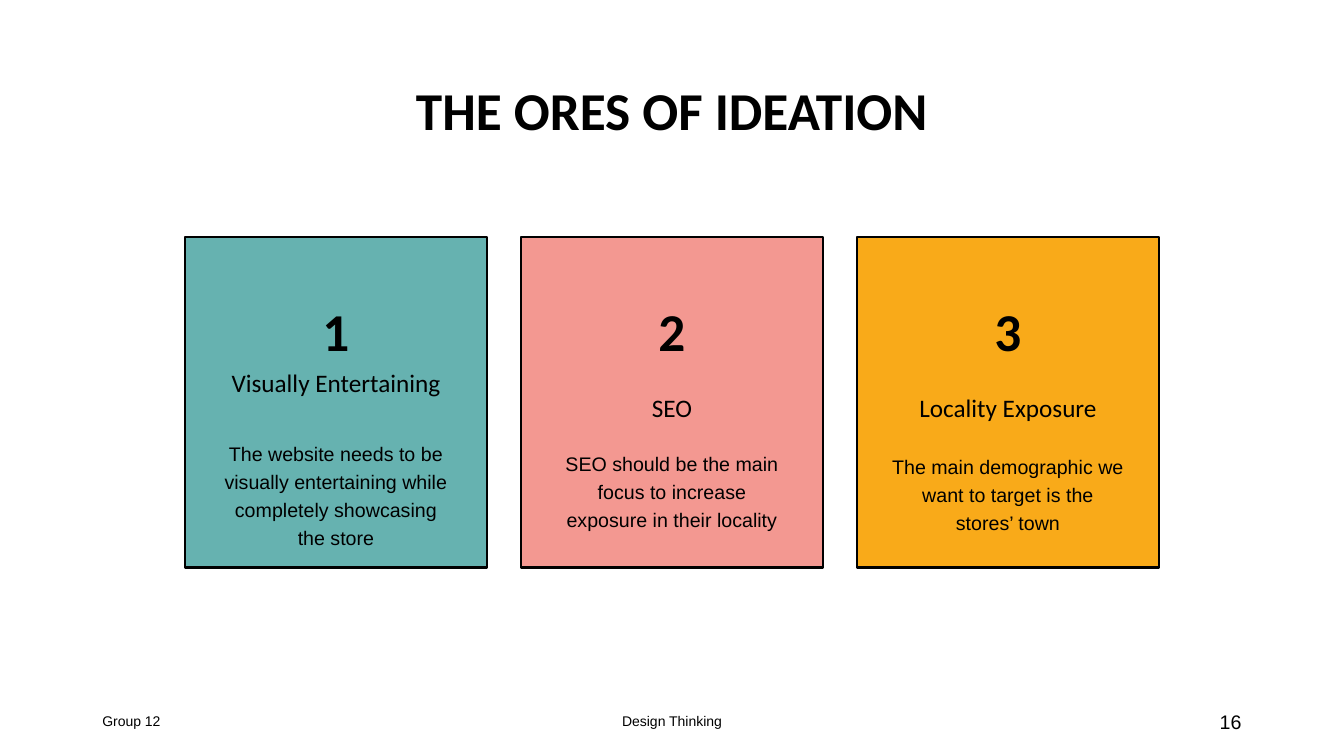
from pptx import Presentation
from pptx.dml.color import RGBColor
from pptx.enum import shapes, text
from pptx.util import Pt

COLORS = {"ink": "000000", "teal": "66B2B0", "pink": "F39891", "amber": "F9AA19"}
ALIGN = text.PP_ALIGN
ANCHOR = text.MSO_ANCHOR


def write(sp, words, size, font="Arial", bold=False, align=ALIGN.CENTER,
          anchor=ANCHOR.TOP, spacing=None):
    """Fill a shape with one paragraph of formatted text."""
    tf = sp.text_frame
    tf.word_wrap = True
    tf.auto_size = text.MSO_AUTO_SIZE.NONE
    tf.vertical_anchor = anchor
    p = tf.paragraphs[0]
    p.alignment = align
    p.line_spacing = spacing
    r = p.add_run()
    r.text = words
    r.font.size = Pt(size)
    r.font.name = font
    r.font.bold = bold
    r.font.color.rgb = RGBColor.from_string(COLORS["ink"])


def add_text(s, left, top, width, height, words, size, **style):
    box = s.shapes.add_textbox(Pt(left), Pt(top), Pt(width), Pt(height))
    write(box, words, size, **style)


prs = Presentation()
prs.slide_width, prs.slide_height = Pt(960), Pt(540)
s = prs.slides.add_slide(prs.slide_layouts[5])

title = s.shapes.title
title.left, title.top, title.width, title.height = Pt(66), Pt(28.8), Pt(828), Pt(104.4)
write(title, "THE ORES OF IDEATION", 38, font="Calibri", bold=True,
      anchor=ANCHOR.MIDDLE, spacing=0.9)

# Cards: fill, heading, heading top, description, description top, height
cards = [
    ("teal", "Visually Entertaining", 258.5,
     "The website needs to be visually entertaining while completely showcasing the store",
     309, 87),
    ("pink", "SEO", 276.5,
     "SEO should be the main focus to increase exposure in their locality", 316, 68.4),
    ("amber", "Locality Exposure", 276.5,
     "The main demographic we want to target is the stores’ town", 318.2, 68.4),
]
CARD_LEFT, CARD_PITCH, CARD_WIDTH, TEXT_WIDTH = 132, 240, 216, 180

for i, (fill, heading, heading_top, description, description_top, height) in enumerate(cards):
    left = CARD_LEFT + i * CARD_PITCH
    card = s.shapes.add_shape(shapes.MSO_SHAPE.RECTANGLE, Pt(left), Pt(169.2),
                              Pt(CARD_WIDTH), Pt(236.2))
    card.shadow.inherit = False
    card.fill.solid()
    card.fill.fore_color.rgb = RGBColor.from_string(COLORS[fill])
    card.line.color.rgb = RGBColor.from_string(COLORS["ink"])
    card.line.width = Pt(1.75)
    card.text_frame.margin_top = Pt(49)
    write(card, str(i + 1), 38, font="Calibri", bold=True, spacing=0.9)

    text_left = left + (CARD_WIDTH - TEXT_WIDTH) / 2
    add_text(s, text_left, heading_top, TEXT_WIDTH, 57.6, heading, 18, font="Calibri")
    add_text(s, text_left, description_top, TEXT_WIDTH, height, description, 14,
             spacing=Pt(20))

add_text(s, 66, 500.4, 216, 28.8, "Group 12", 10, align=ALIGN.LEFT, anchor=ANCHOR.MIDDLE)
add_text(s, 318, 500.4, 324, 28.8, "Design Thinking", 10, anchor=ANCHOR.MIDDLE)
add_text(s, 678, 500.4, 216, 28.8, "16", 14, align=ALIGN.RIGHT, spacing=Pt(20))

prs.save("out.pptx")
